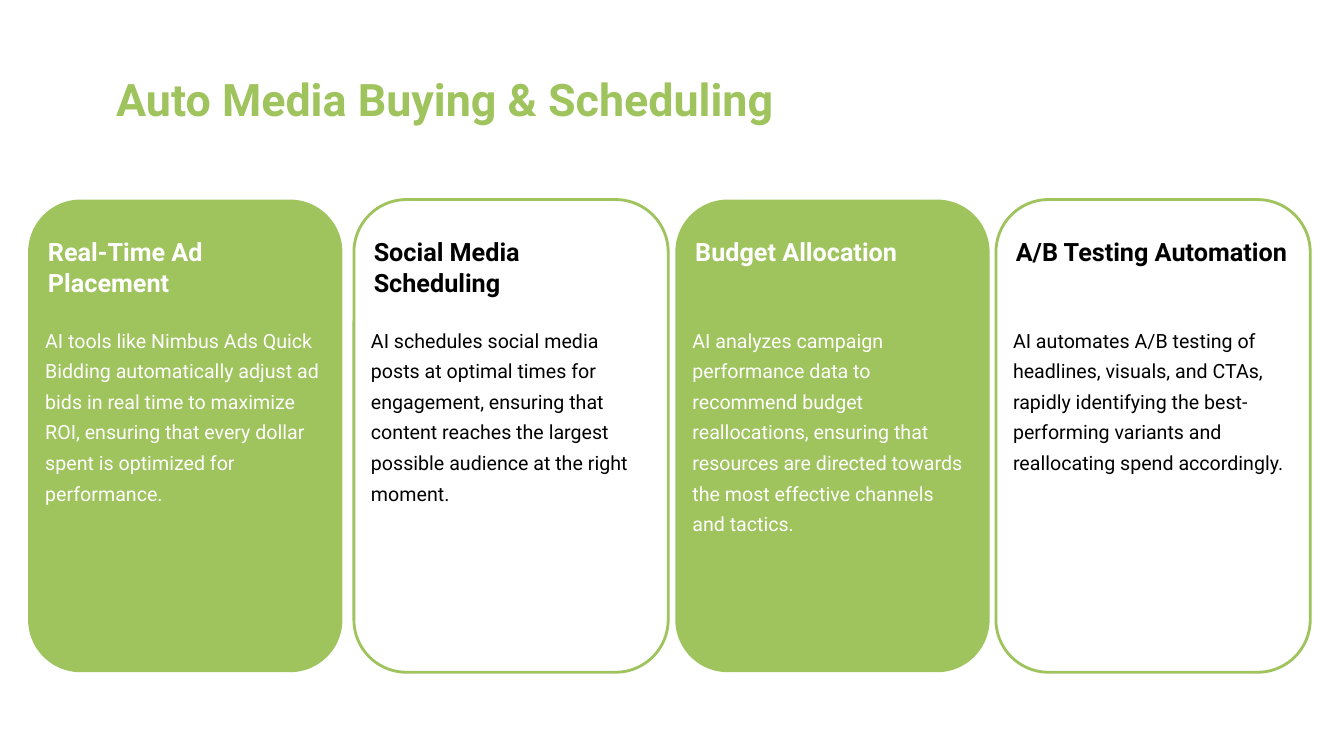
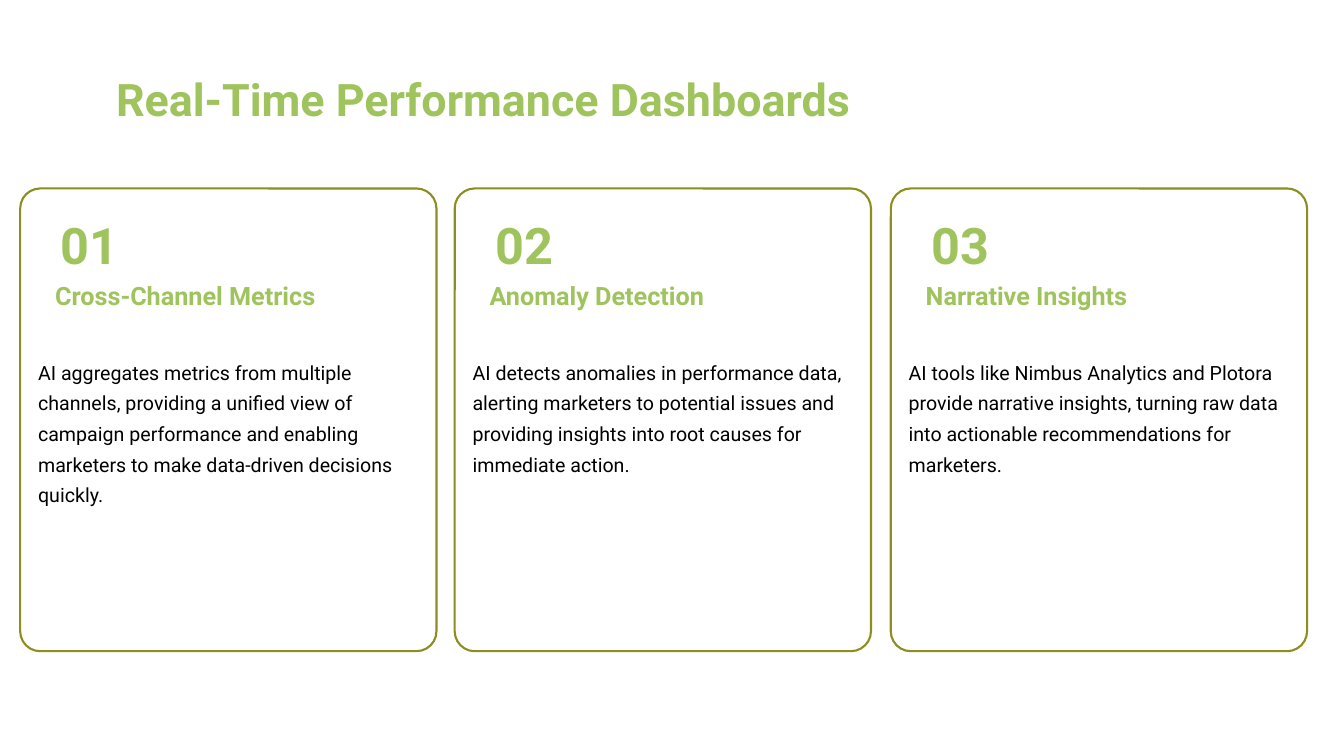
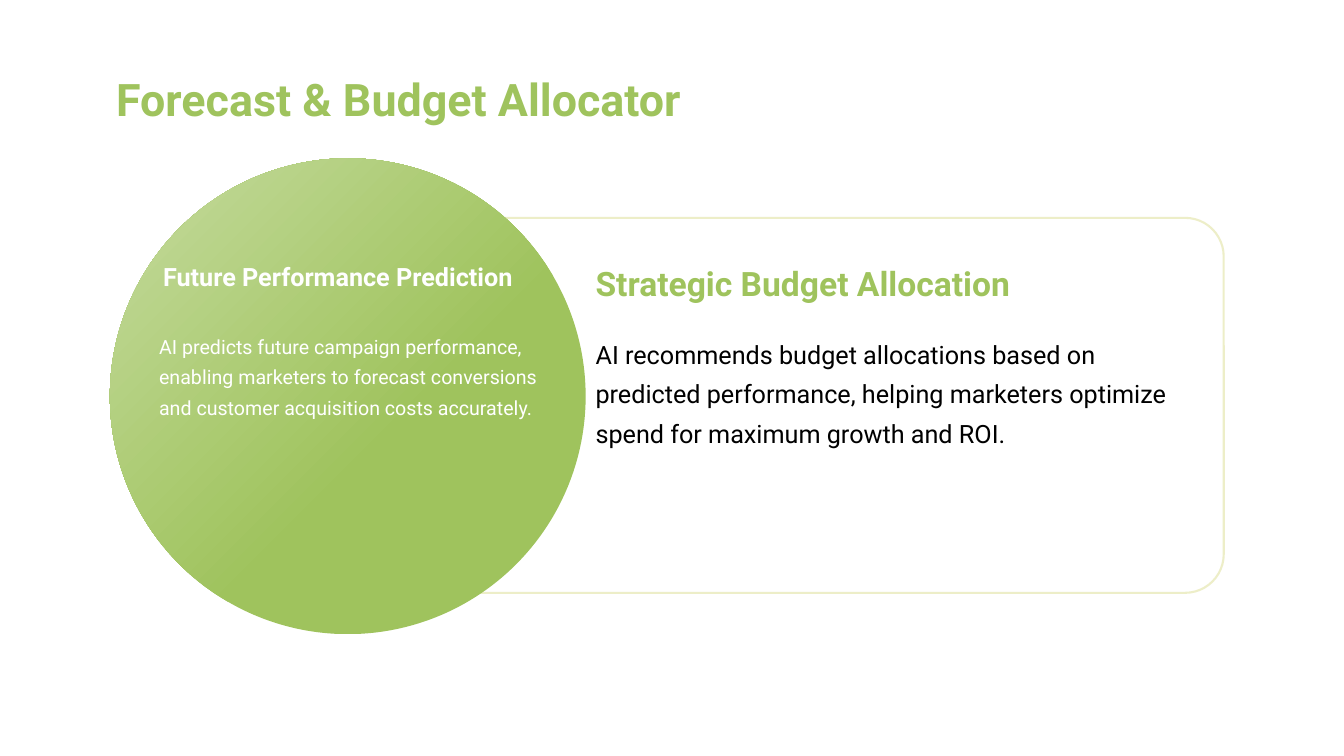
from copy import deepcopy

from lxml import etree
from pptx import Presentation
from pptx import util as u
from pptx.dml.color import RGBColor
from pptx.enum import shapes, text
from pptx.oxml import ns

GREEN, OLIVE, LIME, PALE = "9FC35D", "8D8E20", "BCBE2B", "C5DB9E"
WHITE, BLACK = "FFFFFF", "000000"


def tint(code):
    return RGBColor.from_string(code)


class Deck:
    font = "Roboto"

    def __init__(self):
        self.prs = Presentation()
        self.prs.slide_width = u.Cm(33.87)
        self.prs.slide_height = u.Cm(19.05)

    def page(self, title):
        self.slide = self.prs.slides.add_slide(self.prs.slide_layouts[5])
        box = self.slide.shapes.title
        box.left, box.top = u.Cm(2.67), u.Cm(1.68)
        box.width, box.height = u.Cm(27.23), u.Cm(1.4)
        self.style(box, title, 32, GREEN, bold=True)

    def style(self, box, words, size, color, bold=False, space=1.0):
        frame = box.text_frame
        frame.text = words
        frame.word_wrap = True
        frame.auto_size = text.MSO_AUTO_SIZE.NONE
        frame.vertical_anchor = text.MSO_ANCHOR.TOP
        para = frame.paragraphs[0]
        para.alignment = text.PP_ALIGN.LEFT
        para.line_spacing = space
        for run in para.runs:
            run.font.name = self.font
            run.font.size = u.Pt(size)
            run.font.bold = bold
            run.font.color.rgb = tint(color)

    def label(self, words, area, size, color, bold=False, space=1.0):
        box = self.slide.shapes.add_textbox(*map(u.Cm, area))
        self.style(box, words, size, color, bold, space)

    def head(self, words, area, color, size=18):
        self.label(words, area, size, color, bold=True)

    def body(self, words, area, color, size=14):
        self.label(words, area, size, color, space=1.3)

    def shape(self, kind, area):
        item = self.slide.shapes.add_shape(kind, *map(u.Cm, area))
        item.shadow.inherit = False
        return item

    def card(self, area, bend, fill=WHITE, edge=None, width=1.5, alpha=100):
        item = self.shape(shapes.MSO_SHAPE.ROUNDED_RECTANGLE, area)
        item.adjustments[0] = bend
        item.fill.solid()
        item.fill.fore_color.rgb = tint(fill)
        if edge is None:
            item.line.fill.background()
            return
        item.line.color.rgb = tint(edge)
        item.line.width = u.Pt(width)
        if alpha < 100:
            line = item._element.spPr.find(ns.qn("a:ln"))
            color = line.find(".//" + ns.qn("a:srgbClr"))
            etree.SubElement(color, ns.qn("a:alpha"), val=str(alpha * 1000))

    def ball(self, area, stops, angle):
        item = self.shape(shapes.MSO_SHAPE.OVAL, area)
        item.line.fill.background()
        item.fill.gradient()
        item.fill.gradient_angle = angle
        group = item._element.spPr.find(".//" + ns.qn("a:gsLst"))
        group.insert(1, deepcopy(group[0]))
        for stop, (place, color) in zip(item.fill.gradient_stops, stops):
            stop.position = place
            stop.color.rgb = tint(color)


def buying(deck):
    deck.page("Auto Media Buying & Scheduling")
    cards = [
        (0.71, "Real-Time Ad Placement",
         "AI tools like Nimbus Ads Quick Bidding automatically adjust ad bids in real time "
         "to maximize ROI, ensuring that every dollar spent is optimized for performance."),
        (8.92, "Social Media Scheduling",
         "AI schedules social media posts at optimal times for engagement, ensuring that "
         "content reaches the largest possible audience at the right moment."),
        (17.02, "Budget Allocation",
         "AI analyzes campaign performance data to recommend budget reallocations, ensuring "
         "that resources are directed towards the most effective channels and tactics."),
        (25.1, "A/B Testing Automation",
         "AI automates A/B testing of headlines, visuals, and CTAs, rapidly identifying the "
         "best-performing variants and reallocating spend accordingly."),
    ]
    for i, (left, name, words) in enumerate(cards):
        fill, edge, ink = (WHITE, GREEN, BLACK) if i % 2 else (GREEN, None, WHITE)
        deck.card((left, 5.03, 7.92, 11.91), 0.167, fill, edge, 2)
        deck.head(name, (left + 0.25, 5.84, 7.42, 2.08), ink)
        deck.body(words, (left + 0.18, 7.98, 7.47, 4.78), ink)


def boards(deck):
    deck.page("Real-Time Performance Dashboards")
    cards = [
        (0.51, "Cross-Channel Metrics",
         "AI aggregates metrics from multiple channels, providing a unified view of campaign "
         "performance and enabling marketers to make data-driven decisions quickly."),
        (11.46, "Anomaly Detection",
         "AI detects anomalies in performance data, alerting marketers to potential issues "
         "and providing insights into root causes for immediate action."),
        (22.45, "Narrative Insights",
         "AI tools like Nimbus Analytics and Plotora provide narrative insights, turning raw "
         "data into actionable recommendations for marketers."),
    ]
    for i, (left, name, words) in enumerate(cards, 1):
        deck.card((left, 4.75, 10.49, 11.66), 0.048, edge=OLIVE)
        deck.head(f"{i:02}", (left + 0.77, 5.28, 3.07, 1.52), GREEN, 36)
        deck.head(name, (left + 0.63, 6.93, 9.6, 0.79), GREEN)
        deck.body(words, (left + 0.2, 8.79, 10.21, 3.18), BLACK)


def budget(deck):
    deck.page("Forecast & Budget Allocator")
    deck.card((5.11, 5.49, 25.73, 9.45), 0.103, edge=LIME, alpha=25)
    deck.ball((2.77, 3.99, 11.99, 11.99), [(0, GREEN), (0.41, GREEN), (1, PALE)], 135)
    deck.head("Future Performance Prediction", (3.86, 6.45, 9.91, 0.79), WHITE)
    deck.body("AI predicts future campaign performance, enabling marketers to forecast "
              "conversions and customer acquisition costs accurately.",
              (3.76, 8.13, 10.26, 3.18), WHITE)
    deck.head("Strategic Budget Allocation", (14.76, 6.5, 14.94, 1.02), GREEN, 24)
    deck.body("AI recommends budget allocations based on predicted performance, helping "
              "marketers optimize spend for maximum growth and ROI.",
              (14.76, 8.2, 15.67, 2.97), BLACK, 18)


def main():
    deck = Deck()
    buying(deck)
    boards(deck)
    budget(deck)
    deck.prs.save("out.pptx")


if __name__ == "__main__":
    main()
